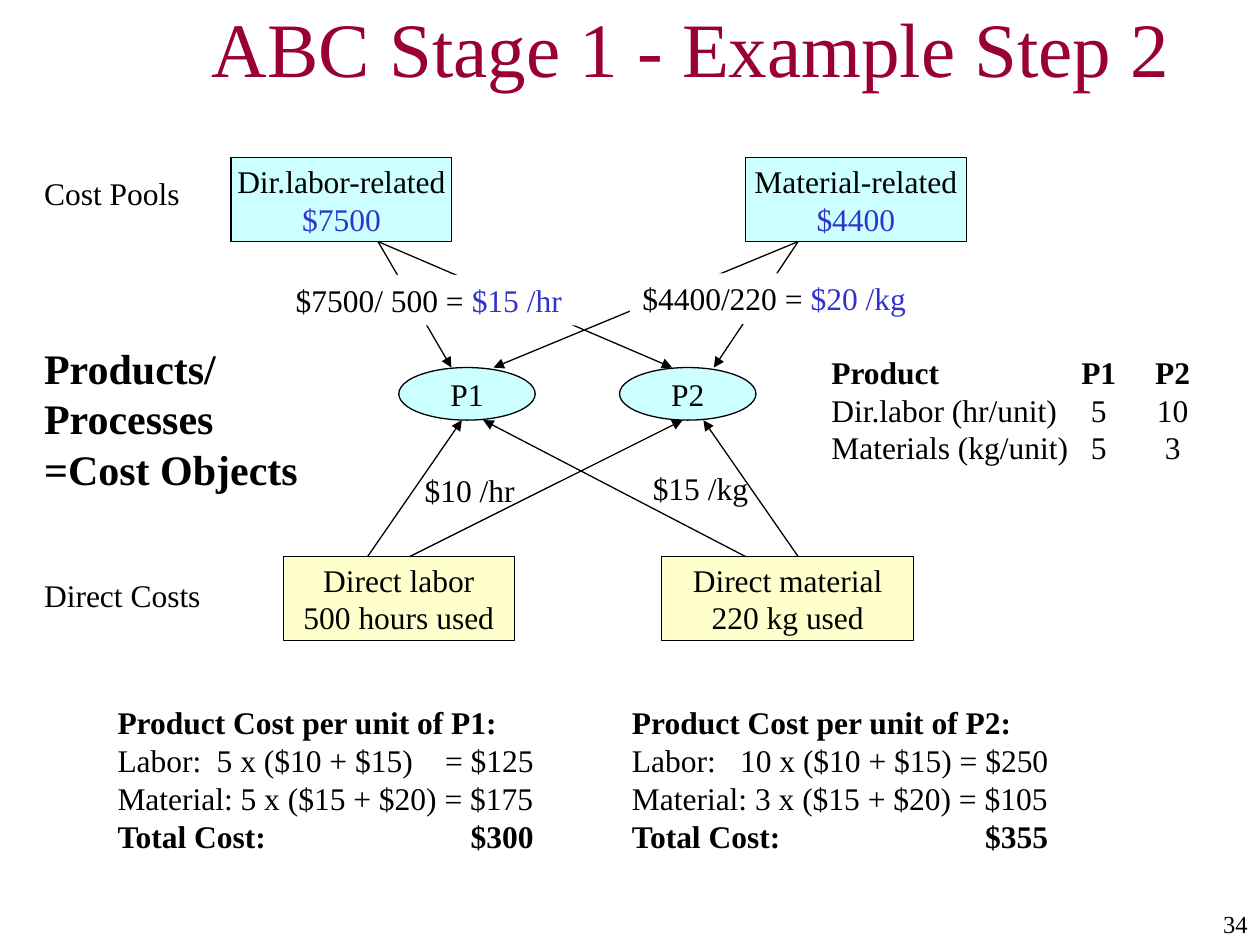
"""Build the activity-based costing slide: cost pools, products and direct costs."""
from lxml import etree
from pptx import Presentation
from pptx.dml.color import RGBColor
from pptx.enum.shapes import MSO_CONNECTOR, MSO_SHAPE
from pptx.enum.text import MSO_ANCHOR, PP_ALIGN
from pptx.oxml.ns import qn
from pptx.util import Cm, Pt

RECT, OVAL = MSO_SHAPE.RECTANGLE, MSO_SHAPE.OVAL
LINE = MSO_CONNECTOR.STRAIGHT
LEFT, MID, RIGHT = PP_ALIGN.LEFT, PP_ALIGN.CENTER, PP_ALIGN.RIGHT
TOP, CENTER = MSO_ANCHOR.TOP, MSO_ANCHOR.MIDDLE

FONT = "Times New Roman"
HEX = {"title": "990033", "text": "000000", "value": "3333CC", "line": "000000",
       "pool": "CCFFFF", "cost": "FFFFCC", "label": "FFFFFF"}
POOL_END, OVAL_TOP, OVAL_END, COST_TOP = 4.87, 7.41, 8.47, 11.22


def color(name):
    """Look up a named colour."""
    return RGBColor.from_string(HEX[name])


def add_tabs(para, stops):
    """Add (position, alignment) tab stops to a paragraph."""
    tabs = etree.SubElement(para._p.get_or_add_pPr(), qn("a:tabLst"))
    for pos, kind in stops:
        etree.SubElement(tabs, qn("a:tab"), pos=str(Cm(pos)), algn=kind)


def write(frame, lines, size=18, align=LEFT, bold=(), ink="text", stops=()):
    """Fill a frame line by line; text after a bar takes the value colour."""
    for i, line in enumerate(lines):
        para = frame.add_paragraph() if i else frame.paragraphs[0]
        para.alignment = align
        para.line_spacing = Pt(size * 1.2)
        if stops:
            add_tabs(para, stops)
        font = para.font
        font.name, font.size, font.bold = FONT, Pt(size), i in bold
        font.color.rgb = color(ink)
        plain, _, value = line.partition("|")
        if plain:
            para.add_run().text = plain
        if value:
            run = para.add_run()
            run.text = value
            run.font.color.rgb = color("value")


def add_text(slide, box, lines, fill=None, anchor=TOP, **style):
    """Add a wrapped text box, filled if a colour is named."""
    shape = slide.shapes.add_textbox(*map(Cm, box))
    if fill:
        shape.fill.solid()
        shape.fill.fore_color.rgb = color(fill)
    frame = shape.text_frame
    frame.word_wrap = True
    frame.vertical_anchor = anchor
    write(frame, lines, **style)


def add_node(slide, kind, box, fill, lines):
    """Add an outlined shape with centred text."""
    shape = slide.shapes.add_shape(kind, *map(Cm, box))
    shape.shadow.inherit = False
    shape.fill.solid()
    shape.fill.fore_color.rgb = color(fill)
    shape.line.color.rgb = color("line")
    shape.line.width = Pt(0.75)
    frame = shape.text_frame
    frame.word_wrap = False
    frame.vertical_anchor = CENTER
    write(frame, lines, align=MID)


def add_arrow(slide, start, end):
    """Add a thin line with a triangle head at its end."""
    arrow = slide.shapes.add_connector(LINE, *map(Cm, start + end))
    arrow.line.color.rgb = color("line")
    arrow.line.width = Pt(0.75)
    etree.SubElement(arrow.line._get_or_add_ln(), qn("a:tailEnd"), type="triangle")
    etree.SubElement(arrow._element.spPr, qn("a:effectLst"))


def add_flow(slide):
    """Add the products, direct costs, arrows, rates and cost pools."""
    for left, width, lines in (
            (13.34, 5.08, ("Direct material", "220 kg used")),
            (5.71, 4.66, ("Direct labor", "500 hours used"))):
        add_node(slide, RECT, (left, COST_TOP, width, 1.69), "cost", lines)
    for left, name in ((8.04, "P1"), (12.49, "P2")):
        add_node(slide, OVAL, (left, OVAL_TOP, 2.75, 1.06), "pool", (name,))

    for start, end in ((7.62, 9.1), (7.62, 13.55), (16.09, 9.95), (16.09, 14.39)):
        add_arrow(slide, (start, POOL_END), (end, OVAL_TOP))
    for start, end in ((7.41, 9.31), (8.26, 13.76), (15.03, 9.74), (16.09, 14.18)):
        add_arrow(slide, (start, COST_TOP), (end, OVAL_END))

    for left, top, line in ((5.71, 5.54, "$7500/ 500 = |$15 /hr"),
                            (12.7, 5.51, "$4400/220 = |$20 /kg")):
        add_text(slide, (left, top, 6.14, 1.02), (line,), fill="label")
    for left, top, line in ((8.31, 9.38, "$10 /hr"), (12.91, 9.34, "$15 /kg")):
        add_text(slide, (left, top, 2.54, 1.02), (line,))
    for left, lines in ((4.66, ("Dir.labor-related", "|$7500")),
                        (15.03, ("Material-related", "|$4400"))):
        add_node(slide, RECT, (left, 3.18, 4.45, 1.69), "pool", lines)


def add_notes(slide):
    """Add the row names, the usage list and the unit cost sums."""
    for top, line in ((3.39, "Cost Pools"), (11.48, "Direct Costs")):
        add_text(slide, (0.64, top, 3.81, 1.02), (line,))
    add_text(slide, (0.64, 6.78, 6.78, 3.3),
             ("Products/", "Processes", "=Cost Objects"), size=24, bold=(0, 1, 2))
    add_text(slide, (16.51, 6.99, 8.68, 3.3),
             ("Product\tP1\tP2", "Dir.labor (hr/unit)\t5\t10",
              "Materials (kg/unit)\t5\t3"),
             bold=(0,), stops=((5.39, "ctr"), (6.88, "ctr")))
    for left, width, first, name, labor, stuff, total in (
            (2.12, 9.1, 2, "P1", "5 x ($10 + $15)\t= $125",
             "5 x ($15 + $20) = $175", "$300"),
            (12.49, 10.37, 2.18, "P2", "10 x ($10 + $15) = $250",
             "3 x ($15 + $20) = $105", "$355")):
        add_text(slide, (left, 14.05, width, 3.3),
                 (f"Product Cost per unit of {name}:", f"Labor:\t{labor}",
                  f"Material: {stuff}", f"Total Cost:\t{total}"),
                 bold=(0, 3), stops=((first, "l"), (8.39, "r")))


def main():
    """Build and save the slide."""
    deck = Presentation()
    deck.slide_width, deck.slide_height = Cm(25.4), Cm(19.05)
    slide = deck.slides.add_slide(deck.slide_layouts[6])
    add_text(slide, (21.79, 18.21, 3.61, 0.85), ("34",), size=14, align=RIGHT)
    add_text(slide, (4.02, 0.21, 21.38, 1.48), ("ABC Stage 1 - Example Step 2",),
             anchor=CENTER, size=44, ink="title")
    add_flow(slide)
    add_notes(slide)
    deck.save("out.pptx")


if __name__ == "__main__":
    main()
